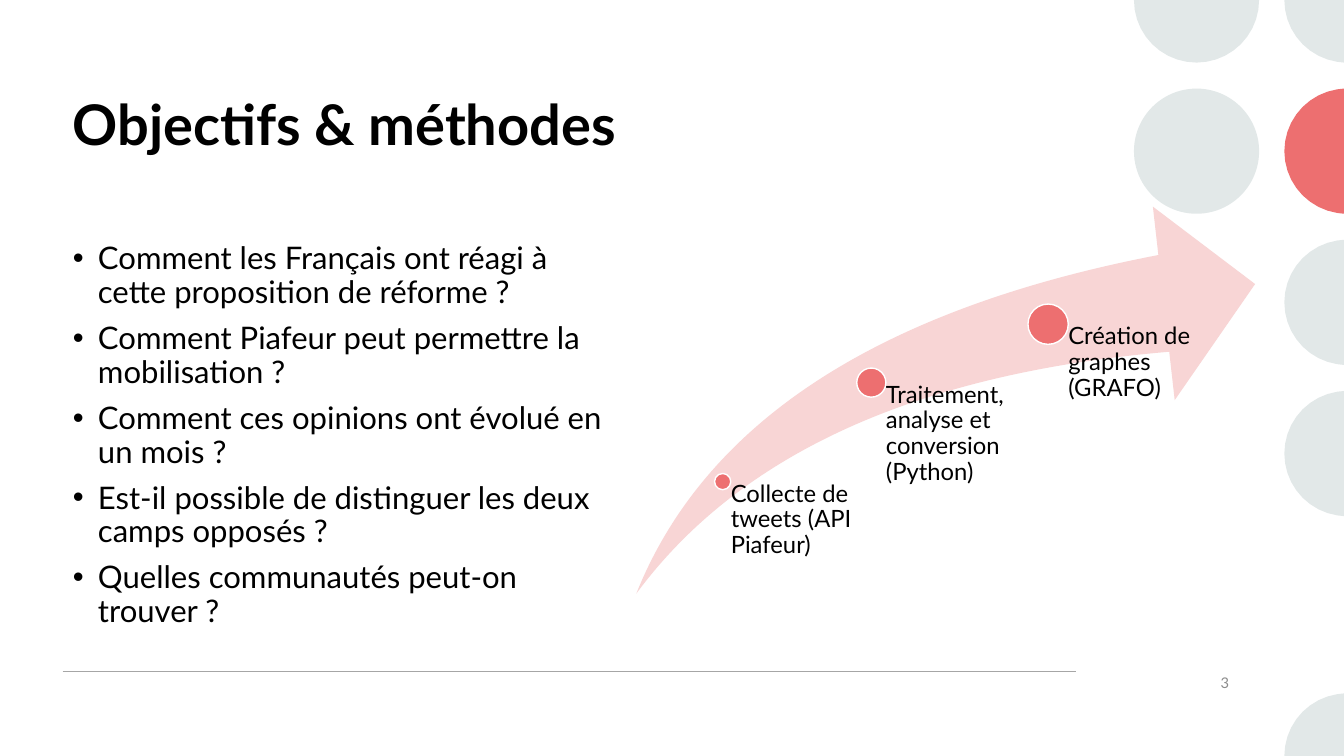
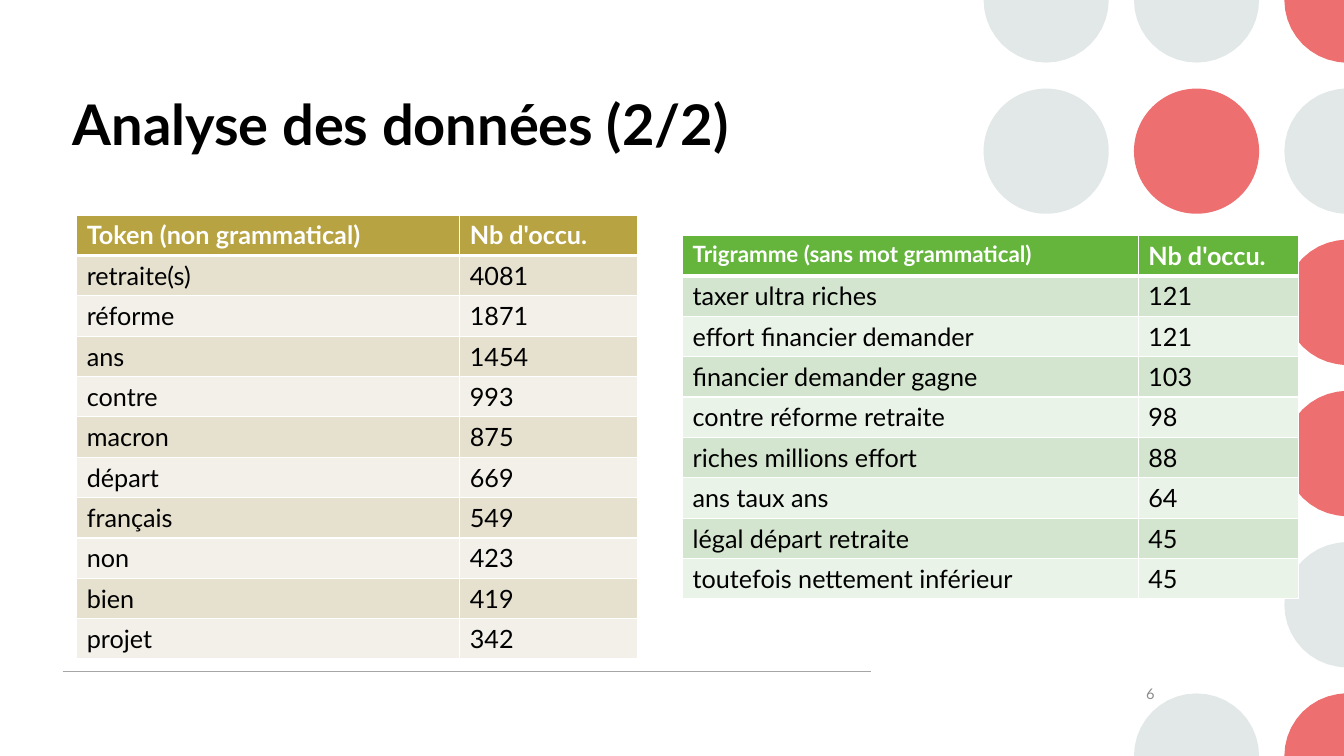
from dataclasses import dataclass
from math import cos, radians, sin

from lxml import etree
from pptx import Presentation
from pptx.dml.color import RGBColor
from pptx.enum.shapes import MSO_CONNECTOR, MSO_SHAPE
from pptx.enum.text import MSO_ANCHOR, MSO_AUTO_SIZE, PP_ALIGN
from pptx.oxml.ns import qn
from pptx.util import Pt

ELLIPSE = MSO_SHAPE.OVAL
SWOOSH = MSO_SHAPE.SWOOSH_ARROW
STRAIGHT = MSO_CONNECTOR.STRAIGHT
LEFT, RIGHT = PP_ALIGN.LEFT, PP_ALIGN.RIGHT
TOP, MIDDLE = MSO_ANCHOR.TOP, MSO_ANCHOR.MIDDLE
NO_AUTOFIT = MSO_AUTO_SIZE.NONE

TITLE_AND_CONTENT, TITLE_ONLY = 1, 5


@dataclass(frozen=True)
class Theme:
    font: str = "Lato"
    text: str = "000000"
    light: str = "FFFFFF"
    muted: str = "8C8C8C"
    rule: str = "A6A6A6"
    gray: str = "E2E8E8"
    coral: str = "ED6F70"
    pale_coral: str = "F8D5D5"
    # Table palettes: header, odd rows, even rows
    olive: tuple = ("B7A342", "E6E0CF", "F3F0E9")
    green: tuple = ("65B53D", "D3E5CE", "EAF3E8")
    title_size: float = 40
    body_size: float = 22.2
    table_size: float = 18
    small_header_size: float = 16
    step_size: float = 17
    number_size: float = 10.5
    width: float = 960
    height: float = 540
    margin: float = 44.8


THEME = Theme()


def color(value):
    return RGBColor.from_string(value)


def write(frame, text, *, size, fill=THEME.text, bold=False, align=None,
          anchor=TOP, spacing=None, before=None, hanging=0):
    """Put text in a frame, one paragraph per line."""
    frame.word_wrap = True
    frame.vertical_anchor = anchor
    frame.text = text
    for paragraph in frame.paragraphs:
        paragraph.alignment = align
        paragraph.line_spacing = spacing
        if before is not None:
            paragraph.space_before = Pt(before)
        if hanging:
            properties = paragraph._p.get_or_add_pPr()
            properties.set("marL", str(Pt(hanging)))
            properties.set("indent", str(-Pt(hanging)))
        for run in paragraph.runs:
            run.font.name = THEME.font
            run.font.size = Pt(size)
            run.font.bold = bold
            run.font.color.rgb = color(fill)


def border_cell(cell, bottom_width):
    """Draw the white lines to the right of and below a cell."""
    properties = cell._tc.get_or_add_tcPr()
    for side, width in (("R", 1), ("B", bottom_width)):
        line = etree.SubElement(properties, qn(f"a:ln{side}"), w=str(Pt(width)))
        fill = etree.SubElement(line, qn("a:solidFill"))
        etree.SubElement(fill, qn("a:srgbClr"), val=THEME.light)


def clipped_circle(x, y, radius):
    """Return the corners of a circle's outline, cut at the slide's edges."""
    points = []
    for degrees in range(0, 360, 9):
        edge_x = x + radius * cos(radians(degrees))
        edge_y = y + radius * sin(radians(degrees))
        points.append((Pt(min(max(edge_x, 0), THEME.width)),
                       Pt(min(max(edge_y, 0), THEME.height))))
    points = list(dict.fromkeys(points))
    following = points[1:] + points[:1]
    return [point for before, point, after
            in zip(points[-1:] + points, points, following)
            if not (before[0] == point[0] == after[0]
                    or before[1] == point[1] == after[1])]


class Deck:
    def __init__(self):
        self.presentation = Presentation()
        self.presentation.slide_width = Pt(THEME.width)
        self.presentation.slide_height = Pt(THEME.height)
        self.slide = None

    def new_slide(self, layout, title, content_right, circles):
        layouts = self.presentation.slide_layouts
        self.slide = self.presentation.slides.add_slide(layouts[layout])
        self.circle_grid(circles)
        width = content_right - THEME.margin
        self.placeholder(self.slide.shapes.title, title,
                         (THEME.margin, 60.5, width, 100),
                         size=THEME.title_size, bold=True, align=LEFT)
        self.rule(THEME.margin, content_right, 479.6)

    def placeholder(self, shape, text, box, **text_format):
        shape.left, shape.top, shape.width, shape.height = map(Pt, box)
        shape.text_frame.auto_size = NO_AUTOFIT
        write(shape.text_frame, text, **text_format)

    def bullets(self, items, box):
        self.placeholder(self.slide.placeholders[1], "\n".join(items), box,
                         size=THEME.body_size, spacing=0.9, before=9,
                         hanging=18)

    def paint(self, shape, fill, outline=None):
        shape.shadow.inherit = False
        shape.fill.solid()
        shape.fill.fore_color.rgb = color(fill)
        if outline:
            shape.line.color.rgb = color(outline)
            shape.line.width = Pt(1)
        else:
            shape.line.fill.background()

    def preset(self, kind, box, fill, outline=None):
        shape = self.slide.shapes.add_shape(kind, *map(Pt, box))
        self.paint(shape, fill, outline)
        return shape

    def circle(self, x, y, radius, fill, outline=None):
        """Draw a circle around (x, y), cut off at the slide's edges."""
        inside = (radius <= x <= THEME.width - radius
                  and radius <= y <= THEME.height - radius)
        if inside:
            box = (x - radius, y - radius, 2 * radius, 2 * radius)
            self.preset(ELLIPSE, box, fill, outline)
            return
        start, *points = clipped_circle(x, y, radius)
        builder = self.slide.shapes.build_freeform(*start)
        builder.add_line_segments(points, close=True)
        self.paint(builder.convert_to_shape(), fill, outline)

    def circle_grid(self, rows):
        """Draw the corner pattern: G gray, R coral, dot for a gap."""
        fills = {"G": THEME.gray, "R": THEME.coral}
        for row, marks in enumerate(rows):
            for column, mark in enumerate(marks):
                if mark in fills:
                    self.circle(747.3 + 107.4 * column, 108 * row, 44.7,
                                fills[mark])

    def rule(self, left, right, y):
        line = self.slide.shapes.add_connector(
            STRAIGHT, Pt(left), Pt(y), Pt(right), Pt(y))
        line.line.color.rgb = color(THEME.rule)
        line.line.width = Pt(1)
        etree.SubElement(line._element.spPr, qn("a:effectLst"))

    def text_box(self, text, box, insets=None, **text_format):
        frame = self.slide.shapes.add_textbox(*map(Pt, box)).text_frame
        if insets:
            (frame.margin_left, frame.margin_top,
             frame.margin_right, frame.margin_bottom) = map(Pt, insets)
        write(frame, text, **text_format)

    def slide_number(self, number, left, top):
        self.text_box(number, (left, top, 64, 28.8), size=THEME.number_size,
                      fill=THEME.muted, align=RIGHT, anchor=MIDDLE)

    def growth_arrow(self, box, steps):
        arrow = self.preset(SWOOSH, box, THEME.pale_coral)
        arrow.adjustments[0] = arrow.adjustments[1] = 0.25
        bottom = box[1] + box[3]
        for text, x, y, radius, width in steps:
            self.circle(x, y, radius, THEME.coral, THEME.light)
            self.text_box(text, (x, y, width, bottom - y), (radius, 0, 0, 0),
                          size=THEME.step_size, spacing=0.9)

    def table(self, left, top, widths, rows, palette,
              first_header_size=THEME.table_size):
        row_height = 28.8
        table = self.slide.shapes.add_table(
            len(rows), len(widths), Pt(left), Pt(top),
            Pt(sum(widths)), Pt(row_height * len(rows))).table
        table.horz_banding = False
        for column, width in zip(table.columns, widths):
            column.width = Pt(width)
        header_fill, *bands = palette
        for row_index, values in enumerate(rows):
            header = row_index == 0
            table.rows[row_index].height = Pt(row_height)
            for column_index, value in enumerate(values):
                cell = table.cell(row_index, column_index)
                border_cell(cell, 3 if header else 1)
                cell.fill.solid()
                cell.fill.fore_color.rgb = color(
                    header_fill if header else bands[(row_index - 1) % 2])
                first = header and column_index == 0
                write(cell.text_frame, value, bold=header,
                      size=first_header_size if first else THEME.table_size,
                      fill=THEME.light if header else THEME.text)


def add_objectives(deck):
    deck.new_slide(TITLE_AND_CONTENT, "Objectifs & méthodes", 768.8,
                   (".GG", ".GR", "..G", "..G", "...", "..G"))
    deck.bullets((
        "Comment les Français ont réagi à cette proposition de réforme ?",
        "Comment Piafeur peut permettre la mobilisation ?",
        "Comment ces opinions ont évolué en un mois ?",
        "Est-il possible de distinguer les deux camps opposés ?",
        "Quelles communautés peut-on trouver ?",
    ), (THEME.margin, 170, 399, 283.6))
    deck.growth_arrow((454.5, 147.6, 442, 276.4), (
        ("Collecte de tweets (API Piafeur)", 516.2, 344, 5.8, 103),
        ("Traitement, analyse et conversion (Python)", 622.4, 273.3, 10.4, 106),
        ("Création de graphes (GRAFO)", 748.7, 231.6, 14.4, 106),
    ))
    deck.slide_number("3", 821, 473)


def add_data_analysis(deck):
    deck.new_slide(TITLE_ONLY, "Analyse des données (2/2)", 622.1,
                   ("GGR", "GRG", "..R", "..R", "..G", ".GR"))
    deck.table(54.8, 153.6, (273.6, 127.2), (
        ("Token (non grammatical)", "Nb d'occu."),
        ("retraite(s)", "4081"),
        ("réforme", "1871"),
        ("ans", "1454"),
        ("contre", "993"),
        ("macron", "875"),
        ("départ", "669"),
        ("français", "549"),
        ("non", "423"),
        ("bien", "419"),
        ("projet", "342"),
    ), THEME.olive)
    deck.table(487.6, 168.3, (325.5, 114.7), (
        ("Trigramme (sans mot grammatical)", "Nb d'occu."),
        ("taxer ultra riches", "121"),
        ("effort financier demander", "121"),
        ("financier demander gagne", "103"),
        ("contre réforme retraite", "98"),
        ("riches millions effort", "88"),
        ("ans taux ans", "64"),
        ("légal départ retraite", "45"),
        ("toutefois nettement inférieur", "45"),
    ), THEME.green, THEME.small_header_size)
    deck.slide_number("6", 767.8, 481)


def main():
    deck = Deck()
    add_objectives(deck)
    add_data_analysis(deck)
    deck.presentation.save("out.pptx")


if __name__ == "__main__":
    main()
